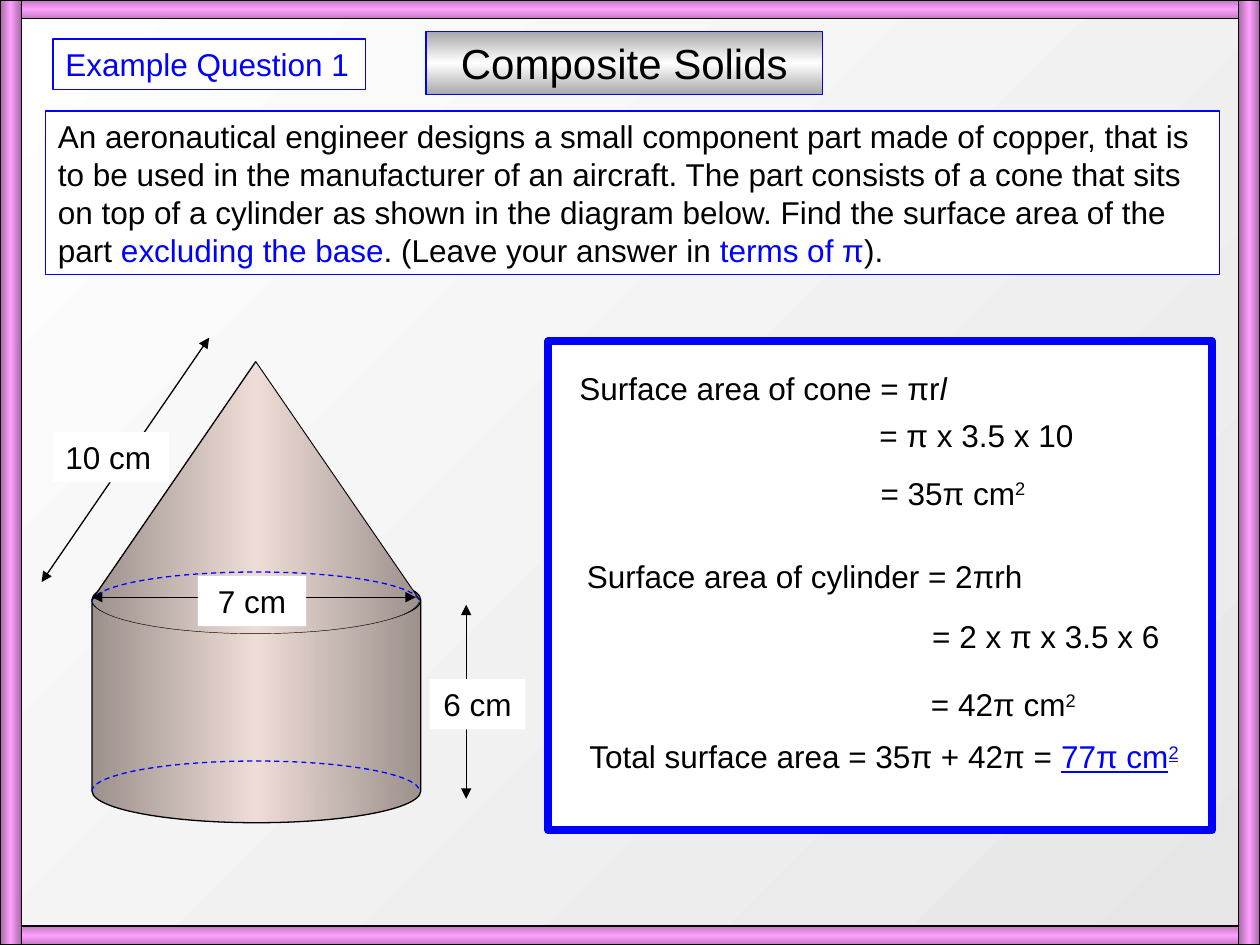
from dataclasses import dataclass
from math import cos, pi, sin

from lxml import etree
from pptx import Presentation
from pptx import util as u
from pptx.dml.color import RGBColor
from pptx.enum import dml, shapes, text
from pptx.oxml.ns import qn


@dataclass(frozen=True)
class Theme:
    font: str = "Arial"
    title_size: float = 24
    body_size: float = 18
    black: str = "000000"
    white: str = "FFFFFF"
    blue: str = "0000FF"
    backdrop: tuple = ("E6E6E6", "FFFFFF")
    title_bar: tuple = ("A8A8A8", "FFFFFF", "A8A8A8")
    copper: tuple = ("9D918D", "EEDCD6", "9D918D")
    rail: tuple = ("C079C0", "FEA0FE", "C079C0")
    post: tuple = ("A769A7", "FEA0FE", "A769A7")


THEME = Theme()


@dataclass(frozen=True)
class Box:
    left: float
    top: float
    width: float
    height: float

    def emu(self) -> tuple:
        return tuple(u.Inches(v) for v in (self.left, self.top, self.width, self.height))


@dataclass(frozen=True)
class Run:
    words: str
    colour: str = THEME.black
    italic: bool = False
    underline: bool = False
    superscript: bool = False


@dataclass(frozen=True)
class Working:
    left: float
    top: float
    width: float
    runs: tuple


@dataclass(frozen=True)
class Dimension:
    start: tuple
    end: tuple
    label: str
    label_box: Box
    centred: bool = True


def paint(owner, fill, colours, angle: float = 0) -> None:
    """Fill with one colour, or with evenly spaced gradient stops."""
    if isinstance(colours, str):
        fill.solid()
        fill.fore_color.rgb = RGBColor.from_string(colours)
        return
    fill.gradient()
    fill.gradient_angle = angle
    stops = owner.find(".//" + qn("a:gsLst"))
    for stop in list(stops):
        stops.remove(stop)
    for index, colour in enumerate(colours):
        position = str(100000 * index // (len(colours) - 1))
        stop = etree.SubElement(stops, qn("a:gs"), pos=position)
        etree.SubElement(stop, qn("a:srgbClr"), val=colour)


def outline(line, colour: str, width: float, dashed: bool = False) -> None:
    line.color.rgb = RGBColor.from_string(colour)
    line.width = u.Pt(width)
    if dashed:
        line.dash_style = dml.MSO_LINE.DASH


def style(shape, fill, line=None, width: float = 0.75, angle: float = 0, dashed: bool = False) -> None:
    shape.shadow.inherit = False
    paint(shape._element, shape.fill, fill, angle)
    if line:
        outline(shape.line, line, width, dashed)
    else:
        shape.line.fill.background()


def write(shape, runs: tuple, size: float = THEME.body_size, centred: bool = False,
          anchor=text.MSO_ANCHOR.TOP) -> None:
    frame = shape.text_frame
    frame.word_wrap = True
    frame.auto_size = text.MSO_AUTO_SIZE.NONE
    frame.vertical_anchor = anchor
    paragraph = frame.paragraphs[0]
    paragraph.alignment = text.PP_ALIGN.CENTER if centred else text.PP_ALIGN.LEFT
    paragraph.space_before = u.Pt(0)
    for part in runs:
        run = paragraph.add_run()
        run.text = part.words
        font = run.font
        font.name, font.size = THEME.font, u.Pt(size)
        font.color.rgb = RGBColor.from_string(part.colour)
        if part.italic:
            font.italic = True
        if part.underline:
            font.underline = True
        if part.superscript:
            run._r.get_or_add_rPr().set("baseline", "30000")


def rectangle(slide, box: Box, fill, line=None, width: float = 0.75, angle: float = 0):
    shape = slide.shapes.add_shape(shapes.MSO_SHAPE.RECTANGLE, *box.emu())
    style(shape, fill, line, width, angle)
    return shape


def straight(parent, start: tuple, end: tuple, width: float = 0.75, arrows: bool = False) -> None:
    ends = [u.Inches(v) for v in (*start, *end)]
    connector = parent.add_connector(shapes.MSO_CONNECTOR.STRAIGHT, *ends)
    outline(connector.line, THEME.black, width)
    if arrows:
        for tag in ("a:headEnd", "a:tailEnd"):
            etree.SubElement(connector.line._get_or_add_ln(), qn(tag), type="triangle")
    etree.SubElement(connector._element.spPr, qn("a:effectLst"))


def polygon(parent, points: list, closed: bool, line=None, width: float = 0.75, dashed: bool = False) -> None:
    corners = [(u.Inches(x), u.Inches(y)) for x, y in points]
    builder = parent.build_freeform(*corners[0])
    builder.add_line_segments(corners[1:], close=closed)
    style(builder.convert_to_shape(), THEME.copper, line, width, dashed=dashed)


def half_ellipse(y: float, depth: float, steps: int = 48) -> list:
    """Points from the left rim to the right; positive depth bulges downwards."""
    angles = [pi * step / steps for step in range(steps + 1)]
    return [(CENTRE - RADIUS * cos(a), y + depth * sin(a)) for a in angles]


def draw_dimension(slide, item: Dimension) -> None:
    straight(slide.shapes, item.start, item.end, arrows=True)
    label = rectangle(slide, item.label_box, THEME.white)
    write(label, (Run(item.label),), centred=item.centred)


CENTRE, RADIUS = 2.03, 1.3
APEX, RIM, BASE = 2.87, 4.76, 6.28
SQUARED = Run("2", superscript=True)

QUESTION = (
    Run("An aeronautical engineer designs a small component part made of copper, that is to be "
        "used in the manufacturer of an aircraft. The part consists of a cone that sits on top of "
        "a cylinder as shown in the diagram below. Find the surface area of the part "),
    Run("excluding the base", THEME.blue),
    Run(". (Leave your answer in "),
    Run("terms of π", THEME.blue),
    Run(")."),
)
WORKINGS = (
    Working(4.5, 2.88, 4.42, (Run("Surface area of cone = πr"), Run("l", italic=True))),
    Working(6.88, 3.25, 2.15, (Run("= π x 3.5 x 10"),)),
    Working(6.89, 3.71, 1.86, (Run("= 35π cm"), SQUARED)),
    Working(4.56, 4.37, 4.61, (Run("Surface area of cylinder = 2πrh"),)),
    Working(7.3, 4.85, 2.05, (Run("= 2 x π x 3.5 x 6"),)),
    Working(7.29, 5.39, 1.58, (Run("= 42π cm"), SQUARED)),
    Working(4.58, 5.8, 5.0, (
        Run("Total surface area = 35π + 42π = "),
        Run("77π cm", THEME.blue, underline=True),
        Run("2", THEME.blue, underline=True, superscript=True))),
)
DIMENSIONS = (
    Dimension((0.33, 4.62), (1.66, 2.68), "10 cm", Box(0.42, 3.43, 0.92, 0.4), centred=False),
    Dimension((0.73, 4.74), (3.3, 4.74), "7 cm", Box(1.57, 4.57, 0.86, 0.4)),
    Dimension((3.7, 4.8), (3.7, 6.34), "6 cm", Box(3.41, 5.39, 0.76, 0.4)),
)


def draw_solid(slide) -> None:
    parts = slide.shapes.add_group_shape().shapes
    left, right, apex = (CENTRE - RADIUS, RIM), (CENTRE + RADIUS, RIM), (CENTRE, APEX)
    cylinder = parts.add_shape(shapes.MSO_SHAPE.CAN, *Box(0.73, 4.51, 2.61, 2.02).emu())
    style(cylinder, THEME.copper, THEME.black)
    polygon(parts, [left, right, apex], closed=True)
    # Rim: solid front, dashed back
    polygon(parts, half_ellipse(RIM, 0.27), False, THEME.black, 0.25)
    polygon(parts, half_ellipse(RIM + 0.02, -0.24), False, THEME.blue, dashed=True)
    straight(parts, left, apex)
    straight(parts, apex, right, 0.5)
    polygon(parts, half_ellipse(BASE, -0.24), False, THEME.blue, dashed=True)


def main() -> None:
    presentation = Presentation()
    presentation.slide_width, presentation.slide_height = u.Inches(10), u.Inches(7.5)
    slide = presentation.slides.add_slide(presentation.slide_layouts[1])
    paint(slide._element, slide.background.fill, THEME.backdrop, 135)

    # Title and question in the layout's placeholders
    title, question = slide.placeholders
    for shape, box in ((title, Box(3.38, 0.25, 3.15, 0.5)), (question, Box(0.36, 0.88, 9.32, 1.3))):
        shape.left, shape.top, shape.width, shape.height = box.emu()
    paint(title._element, title.fill, THEME.title_bar, 90)
    outline(title.line, THEME.blue, 0.75)
    write(title, (Run("Composite Solids"),), THEME.title_size, True, text.MSO_ANCHOR.MIDDLE)
    paint(question._element, question.fill, THEME.white)
    outline(question.line, THEME.blue, 0.75)
    properties = question.text_frame.paragraphs[0]._p.get_or_add_pPr()
    properties.set("marL", "0")
    properties.set("indent", "0")
    etree.SubElement(properties, qn("a:buNone"))
    write(question, QUESTION)

    # Frame around the slide
    for top in (0, 7.35):
        rectangle(slide, Box(0, top, 10, 0.15), THEME.rail, THEME.black, angle=90)
    for left in (0, 9.83):
        rectangle(slide, Box(left, 0, 0.17, 7.5), THEME.post, THEME.black)

    tag = rectangle(slide, Box(0.42, 0.31, 2.48, 0.4), THEME.white, THEME.blue)
    write(tag, (Run("Example Question 1", THEME.blue),))

    # Diagram with its dimensions
    draw_solid(slide)
    for item in DIMENSIONS:
        draw_dimension(slide, item)

    # Worked answer
    rectangle(slide, Box(4.35, 2.71, 5.27, 3.88), THEME.white, THEME.blue, 4.5)
    for step in WORKINGS:
        box = slide.shapes.add_textbox(*Box(step.left, step.top, step.width, 0.4).emu())
        write(box, step.runs)

    presentation.save("out.pptx")


if __name__ == "__main__":
    main()
